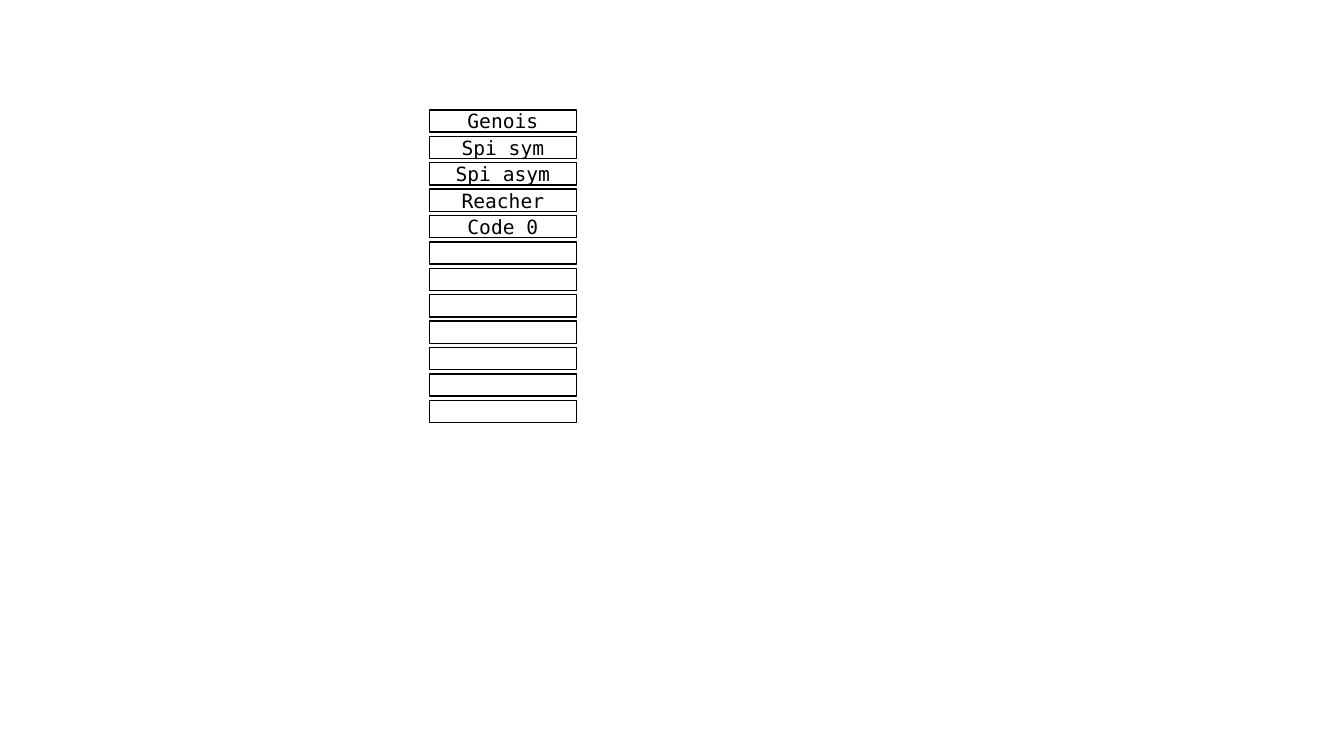
from pptx import Presentation
from pptx.dml.color import RGBColor
from pptx.enum.shapes import MSO_SHAPE
from pptx.enum.text import MSO_ANCHOR, PP_ALIGN
from pptx.util import Cm, Pt

RECT = MSO_SHAPE.RECTANGLE
MIDDLE = MSO_ANCHOR.MIDDLE
CENTER = PP_ALIGN.CENTER
BLACK = RGBColor(0x00, 0x00, 0x00)

SAILS = ["Genois", "Spi sym", "Spi asym", "Reacher", "Code 0"]
ROWS = 12
LEFT, TOP = 10.82, 2.77
WIDTH, HEIGHT = 3.71, 0.56
PITCH = 7.32 / (ROWS - 1)


class SailSlide:
    font_name = "DejaVu Sans Mono"
    font_size = Pt(14)
    line_width = Pt(1)

    def __init__(self, prs):
        self.slide = prs.slides.add_slide(prs.slide_layouts[6])

    def box(self, left, top, width, height, text=""):
        sp = self.slide.shapes.add_shape(
            RECT, Cm(left), Cm(top), Cm(width), Cm(height))
        sp.shadow.inherit = False
        sp.fill.background()
        sp.line.color.rgb = BLACK
        sp.line.width = self.line_width
        tf = sp.text_frame
        tf.margin_top = tf.margin_bottom = 0
        tf.vertical_anchor = MIDDLE
        p = tf.paragraphs[0]
        p.alignment = CENTER
        p.font.name = self.font_name
        p.font.size = self.font_size
        p.font.color.rgb = BLACK
        if text:
            p.add_run().text = text


def main():
    prs = Presentation()
    prs.slide_width, prs.slide_height = Cm(33.87), Cm(19.05)
    s = SailSlide(prs)
    labels = SAILS + [""] * (ROWS - len(SAILS))
    for row, label in enumerate(labels):
        s.box(LEFT, TOP + row * PITCH, WIDTH, HEIGHT, label)
    prs.save("out.pptx")


if __name__ == "__main__":
    main()
